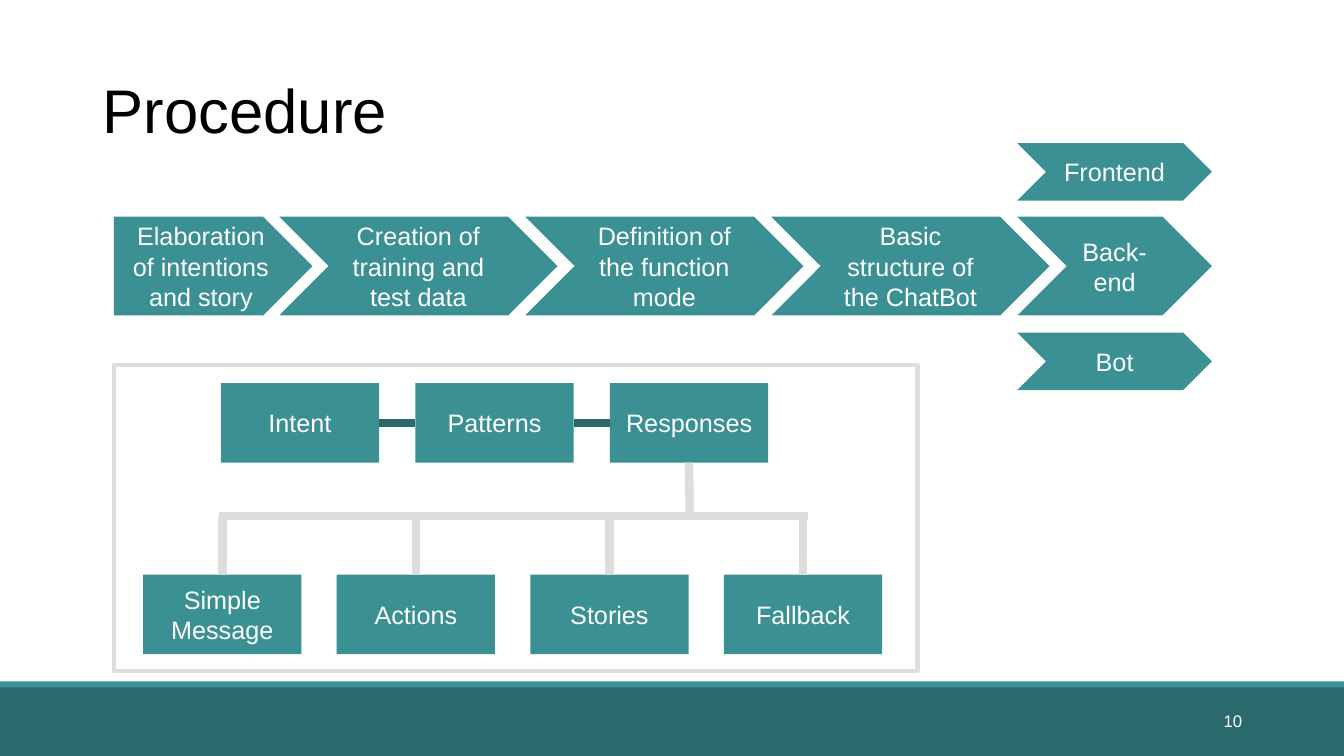
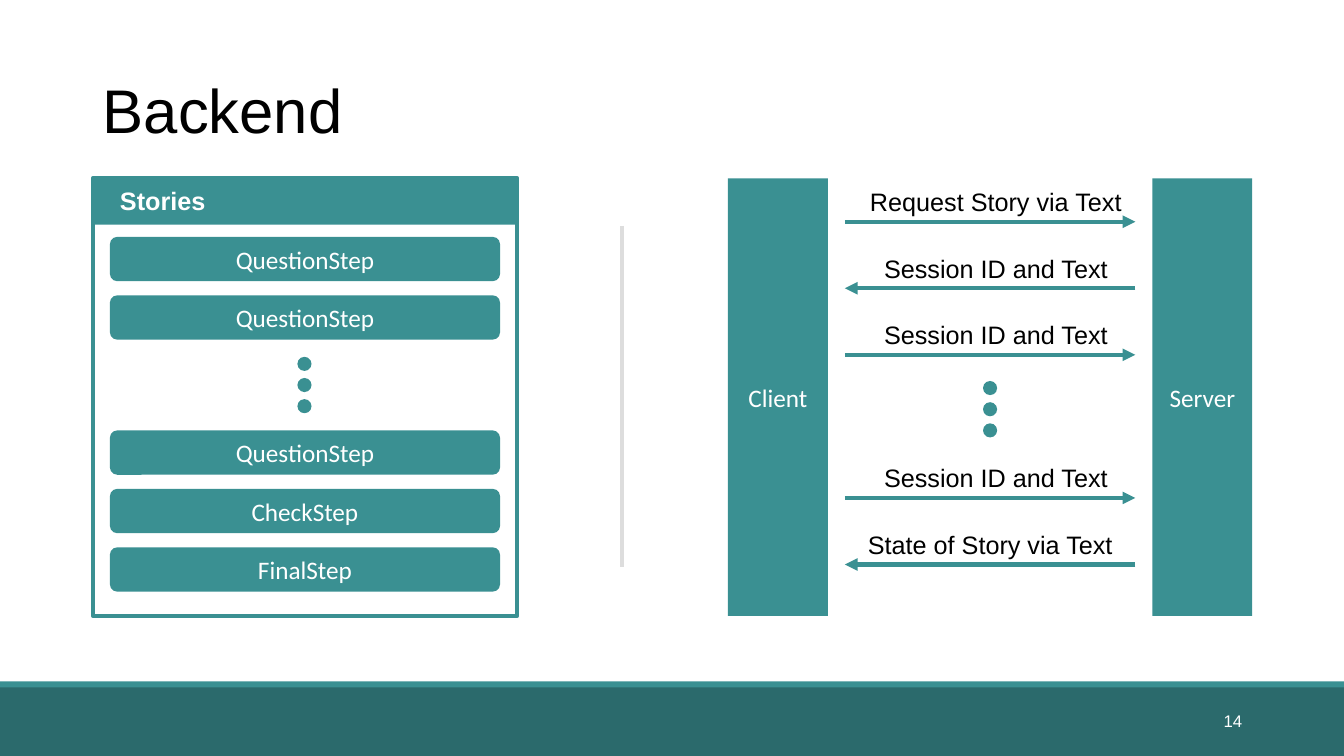
from lxml import etree
from pptx import Presentation
from pptx.dml.color import RGBColor
from pptx.enum.shapes import MSO_CONNECTOR, MSO_SHAPE
from pptx.enum.text import MSO_ANCHOR, MSO_AUTO_SIZE, PP_ALIGN
from pptx.oxml.ns import qn
from pptx.util import Inches, Pt

# Shared look
COLORS = {
    "teal": "3A9092",
    "dark": "2B6A6C",
    "gray": "DDDDDD",
    "white": "FFFFFF",
    "black": "000000",
}
FONTS = {
    "title": {"name": "Arial", "size": Pt(44), "bold": False},
    "label": {"name": "Arial", "size": Pt(18), "bold": False},
    "heading": {"name": "Arial", "size": Pt(18), "bold": True},
    "step": {"name": "Calibri", "size": Pt(18), "bold": False},
    "number": {"name": "Arial", "size": Pt(12), "bold": False},
}
SLIDE_WIDTH, SLIDE_HEIGHT = 13.33, 7.5
TITLE_ONLY = 5


def color(name):
    return RGBColor.from_string(COLORS[name])


def write_text(shape, text, style, text_color="white", align=PP_ALIGN.CENTER, wrap=True):
    frame = shape.text_frame
    frame_format = {
        "text": text,
        "word_wrap": wrap,
        "auto_size": MSO_AUTO_SIZE.NONE,
        "vertical_anchor": MSO_ANCHOR.MIDDLE,
    }
    for attribute, value in frame_format.items():
        setattr(frame, attribute, value)
    paragraph = frame.paragraphs[0]
    paragraph.alignment = align
    font = paragraph.runs[0].font
    for attribute, value in FONTS[style].items():
        setattr(font, attribute, value)
    font.color.rgb = color(text_color)
    return paragraph


def add_block(slide, kind, left, top, width, height, text="", style="label", fill="teal"):
    """Add a filled shape without outline, with an optional centred label."""
    shape = slide.shapes.add_shape(
        kind, Inches(left), Inches(top), Inches(width), Inches(height))
    shape.shadow.inherit = False
    shape.fill.solid()
    shape.fill.fore_color.rgb = color(fill)
    shape.line.fill.background()
    if text:
        write_text(shape, text, style)
    return shape


def add_frame(slide, left, top, width, height, line_color):
    """Add an unfilled outline."""
    frame = add_block(slide, MSO_SHAPE.RECTANGLE, left, top, width, height)
    frame.fill.background()
    frame.line.color.rgb = color(line_color)
    frame.line.width = Pt(3)


def add_line(slide, start, end, line_color, width, arrow=False):
    """Join two ends, each an (x, y) point or a (shape, side) pair."""
    joined = [not isinstance(place[0], (int, float)) for place in (start, end)]
    points = [(0, 0) if is_joined else place
              for is_joined, place in zip(joined, (start, end))]
    connector = slide.shapes.add_connector(
        MSO_CONNECTOR.STRAIGHT, *[Inches(value) for point in points for value in point])
    if joined[0]:
        connector.begin_connect(*start)
    if joined[1]:
        connector.end_connect(*end)
    connector.line.color.rgb = color(line_color)
    connector.line.width = Pt(width)
    properties = connector.element.spPr
    if arrow:
        etree.SubElement(properties.find(qn("a:ln")), qn("a:tailEnd"), type="triangle")
    etree.SubElement(properties, qn("a:effectLst"))


def add_text(slide, left, top, width, height, text, style, text_color, align, wrap=True):
    box = slide.shapes.add_textbox(
        Inches(left), Inches(top), Inches(width), Inches(height))
    write_text(box, text, style, text_color, align, wrap)


def add_dots(slide, left, top):
    """Add a vertical ellipsis."""
    for index in range(3):
        add_block(slide, MSO_SHAPE.OVAL, left, top + 0.21 * index, 0.14, 0.14)


def add_bands(slide):
    """Draw the footer bands and hand them to the layout that all slides share."""
    bands = [(6.81, 0.69, "dark"), (6.76, 0.06, "teal")]
    for number, (top, height, fill) in enumerate(bands, 20):
        band = add_block(
            slide, MSO_SHAPE.RECTANGLE, 0, top, SLIDE_WIDTH, height, fill=fill)
        band.element.nvSpPr.cNvPr.set("id", str(number))
        slide.slide_layout.shapes.element.append(band.element)


def add_titled_slide(presentation, title, number):
    slide = presentation.slides.add_slide(presentation.slide_layouts[TITLE_ONLY])
    placeholder = slide.shapes.title
    position = {"left": 0.92, "top": 0.4, "width": 11.5, "height": 1.45}
    for attribute, value in position.items():
        setattr(placeholder, attribute, Inches(value))
    paragraph = write_text(placeholder, title, "title", "black", PP_ALIGN.LEFT)
    paragraph.line_spacing = 0.9
    add_text(slide, 9.42, 6.95, 3, 0.4, number, "number", "white", PP_ALIGN.RIGHT)
    return slide


def add_process(slide):
    """Draw the chevron row with its three parallel last steps."""
    top, height = 2.15, 0.98
    first, pitch = 2.77, 2.44
    steps = ["Creation of training and test data", "Definition of the function mode",
             "Basic structure of the ChatBot"]
    add_block(slide, MSO_SHAPE.PENTAGON, 1.13, top, 1.97, height,
              "Elaboration of intentions and story")
    for index, text in enumerate(steps):
        add_block(slide, MSO_SHAPE.CHEVRON, first + pitch * index, top, 2.76, height, text)
    last_left = first + pitch * len(steps)
    for text, last_top, last_height in [
            ("Frontend", 1.42, 0.57), ("Back-end", top, height), ("Bot", 3.3, 0.57)]:
        add_block(slide, MSO_SHAPE.CHEVRON, last_left, last_top, 1.93, last_height, text)


def add_box_row(slide, left, top, pitch, texts):
    return [add_block(slide, MSO_SHAPE.RECTANGLE, left + pitch * index, top, 1.57, 0.79, text)
            for index, text in enumerate(texts)]


def add_intent_tree(slide):
    add_frame(slide, 1.13, 3.62, 7.97, 3.04, "gray")
    parts = add_box_row(slide, 2.19, 3.8, 1.93, ["Intent", "Patterns", "Responses"])
    kinds = add_box_row(slide, 1.42, 5.7, 1.92,
                        ["Simple Message", "Actions", "Stories", "Fallback"])
    for before, after in zip(parts, parts[1:]):
        add_line(slide, (before, 3), (after, 1), "dark", 6)
    # Branches from the responses to their kinds
    branch_top = 5.12
    add_line(slide, (2.17, branch_top), (8.01, branch_top), "gray", 6)
    add_line(slide, (parts[-1], 2), (6.84, branch_top), "gray", 6)
    for kind in kinds:
        center = (kind.left + kind.width / 2) / Inches(1)
        add_line(slide, (center, branch_top), (kind, 0), "gray", 6)


def add_stories(slide):
    left, width = 0.92, 4.21
    header = add_block(slide, MSO_SHAPE.RECTANGLE, left, 1.75, width, 0.48)
    write_text(header, "Stories", "heading", align=PP_ALIGN.LEFT)
    header.text_frame.margin_left = Inches(0.27)
    add_frame(slide, left, 1.77, width, 4.34, "teal")
    for first_top, steps in [(2.35, ["QuestionStep", "QuestionStep"]),
                             (4.27, ["QuestionStep", "CheckStep", "FinalStep"])]:
        for index, text in enumerate(steps):
            add_block(slide, MSO_SHAPE.ROUNDED_RECTANGLE, 1.09, first_top + 0.58 * index,
                      3.87, 0.44, text, "step")
    add_dots(slide, 2.95, 3.54)


def add_dialogue(slide):
    """Draw the messages between client and server."""
    for left, text in [(7.22, "Client"), (11.43, "Server")]:
        add_block(slide, MSO_SHAPE.RECTANGLE, left, 1.77, 0.99, 4.34, text, "step")
    client_end, server_end = 8.38, 11.26
    messages = [
        (2.2, 8.53, "Request Story via Text", True),
        (2.86, 8.67, "Session ID and Text", False),
        (3.52, 8.67, "Session ID and Text", True),
        (4.94, 8.67, "Session ID and Text", True),
        (5.6, 8.51, "State of Story via Text", False),
    ]
    for y, text_left, text, to_server in messages:
        ends = [(client_end, y), (server_end, y)]
        start, end = ends if to_server else reversed(ends)
        add_line(slide, start, end, "teal", 3, arrow=True)
        add_text(slide, text_left, y - 0.4, 2.72, 0.4, text, "label", "black",
                 PP_ALIGN.LEFT)
    add_dots(slide, 9.75, 3.78)


def main():
    presentation = Presentation()
    presentation.slide_width = Inches(SLIDE_WIDTH)
    presentation.slide_height = Inches(SLIDE_HEIGHT)

    # Procedure
    procedure = add_titled_slide(presentation, "Procedure", "10")
    add_bands(procedure)
    add_process(procedure)
    add_intent_tree(procedure)

    # Backend
    backend = add_titled_slide(presentation, "Backend", "14")
    add_stories(backend)
    add_line(backend, (6.17, 2.24), (6.17, 5.63), "gray", 2.25)
    add_dialogue(backend)

    presentation.save("out.pptx")


if __name__ == "__main__":
    main()
